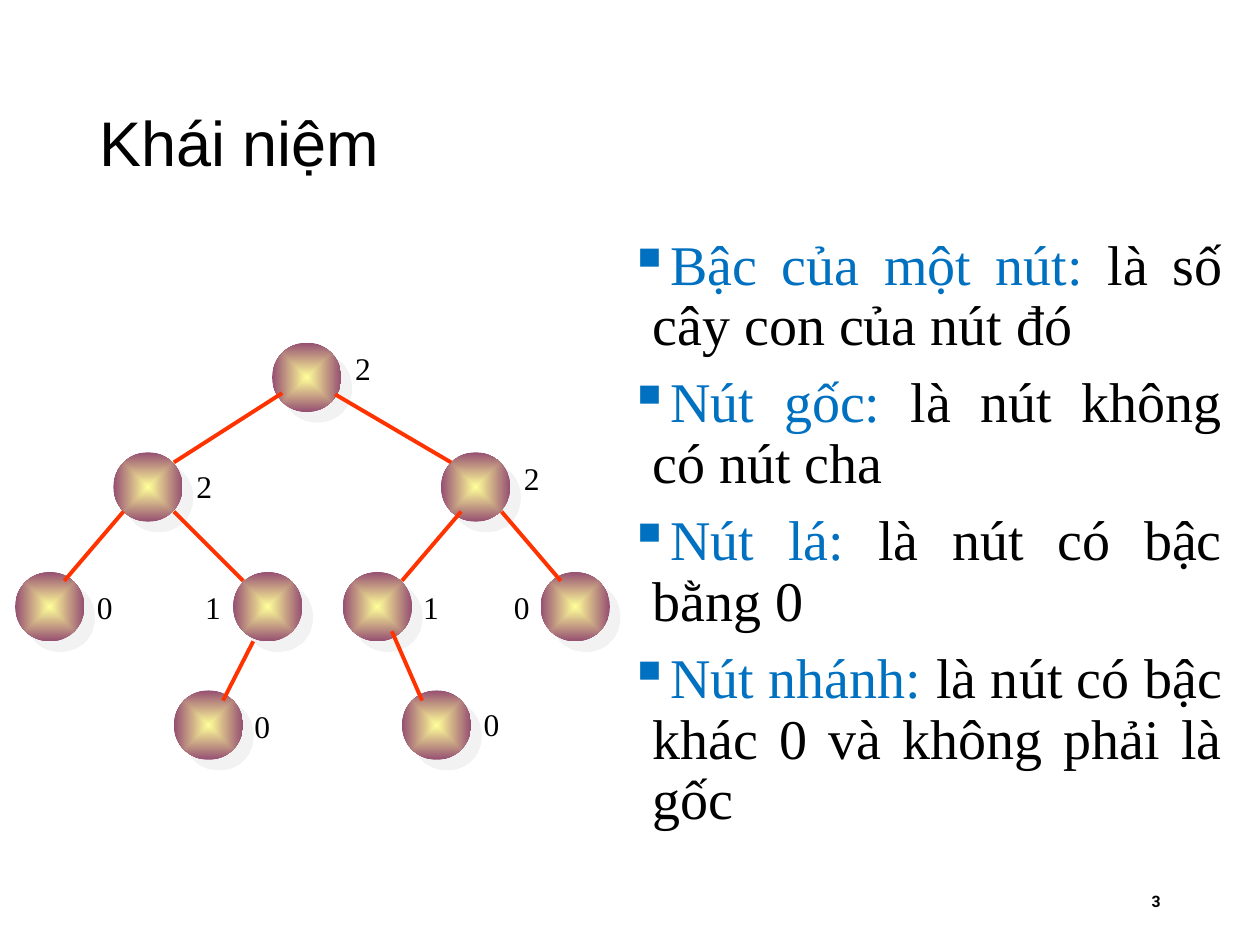
from lxml import etree
from pptx import Presentation
from pptx.dml.color import RGBColor
from pptx.enum.shapes import MSO_CONNECTOR, MSO_SHAPE
from pptx.enum.text import MSO_ANCHOR, PP_ALIGN
from pptx.oxml import parse_xml
from pptx.oxml.ns import qn
from pptx.util import Inches, Pt

OVAL = MSO_SHAPE.OVAL
LINE = MSO_CONNECTOR.STRAIGHT
TOP, MIDDLE = MSO_ANCHOR.TOP, MSO_ANCHOR.MIDDLE
LEFT, RIGHT, JUSTIFY = PP_ALIGN.LEFT, PP_ALIGN.RIGHT, PP_ALIGN.JUSTIFY
SERIF = "Times New Roman"
COLORS = {"text": "000000", "term": "0070C0", "core": "FFFF99",
          "rim": "954F72", "edge": "FF3300", "shade": "E7E6E6"}
XMLNS = 'xmlns:a="http://schemas.openxmlformats.org/drawingml/2006/main"'
PATH = (f'<a:path {XMLNS} path="shape"><a:fillToRect l="50000" t="50000" '
        'r="50000" b="50000"/></a:path>')
SHADOW = (f'<a:outerShdw {XMLNS} dist="{Pt(8.5)}" dir="2700000" algn="ctr" '
          f'rotWithShape="0"><a:srgbClr val="{COLORS["shade"]}">'
          '<a:alpha val="50000"/></a:srgbClr></a:outerShdw>')


def rgb(name):
    return RGBColor.from_string(COLORS[name])


def add_text(box, text, size, face, align=LEFT, anchor=TOP, wrap=True, bold=False):
    frame = slide.shapes.add_textbox(*map(Inches, box)).text_frame
    frame.word_wrap = wrap
    frame.vertical_anchor = anchor
    para = frame.paragraphs[0]
    para.text = text
    para.alignment = align
    para.font.size = Pt(size)
    para.font.name = face
    para.font.bold = bold
    para.font.color.rgb = rgb("text")
    return frame


deck = Presentation()
deck.slide_width, deck.slide_height = Inches(10), Inches(7.5)
slide = deck.slides.add_slide(deck.slide_layouts[6])

add_text((0.69, 0.4, 8.62, 1.45), "Khái niệm", 36, "Arial", anchor=MIDDLE)
add_text((6.62, 6.95, 2.69, 0.4), "3", 9, "Roboto", RIGHT, MIDDLE, bold=True)

terms = [
    ("Bậc của một nút: ", "là số cây con của nút đó"),
    ("Nút gốc: ", "là nút không có nút cha"),
    ("Nút lá: ", "là nút có bậc bằng 0"),
    ("Nút nhánh: ", "là nút có bậc khác 0 và không phải là gốc"),
]
body = add_text((4.89, 1.83, 4.91, 5.3), "", 32, SERIF)
for i, (term, sense) in enumerate(terms):
    para = body.add_paragraph() if i else body.paragraphs[0]
    para.alignment = JUSTIFY
    para.line_spacing = 0.9
    para.space_before = Pt(9.6)
    para.font.size = Pt(32)
    para.font.name = SERIF
    for text, color in ((term, "term"), (sense, "text")):
        run = para.add_run()
        run.text = text
        run.font.color.rgb = rgb(color)
    props = para._p.get_or_add_pPr()
    props.set("marL", str(Inches(0.19)))
    props.set("indent", str(-Inches(0.19)))
    bullet = etree.Element(qn("a:buChar"), char="▪")
    props.find(qn("a:defRPr")).addprevious(bullet)

nodes = [(2.16, 2.72), (0.9, 3.59), (3.5, 3.59), (0.12, 4.54), (1.85, 4.54),
         (2.72, 4.54), (4.29, 4.54), (3.19, 5.48), (1.38, 5.48)]
for x, y in nodes:
    node = slide.shapes.add_shape(OVAL, Inches(x), Inches(y), Inches(0.55), Inches(0.55))
    node.line.fill.background()
    node.fill.gradient()
    for stop, color in zip(node.fill.gradient_stops, ("core", "rim")):
        stop.color.rgb = rgb(color)
    grad = node._element.spPr.find(qn("a:gradFill"))
    grad.replace(grad.find(qn("a:lin")), parse_xml(PATH))
    node.shadow.inherit = False
    node._element.spPr.find(qn("a:effectLst")).append(parse_xml(SHADOW))

edges = [(2.24, 3.12, 1.38, 3.67), (2.66, 3.13, 3.58, 3.67),
         (0.98, 4.06, 0.51, 4.61), (1.38, 4.06, 1.93, 4.61),
         (2.01, 5.09, 1.77, 5.56), (3.66, 4.06, 3.19, 4.61),
         (3.98, 4.06, 4.45, 4.61), (3.11, 5.01, 3.35, 5.56)]
for ends in edges:
    edge = slide.shapes.add_connector(LINE, *map(Inches, ends))
    edge.line.color.rgb = rgb("edge")
    edge.line.width = Pt(2.25)
    etree.SubElement(edge._element.spPr, qn("a:effectLst"))

grades = [("2", 2.72, 2.72), ("2", 4.06, 3.59), ("2", 1.46, 3.66),
          ("1", 3.26, 4.62), ("1", 1.53, 4.62), ("0", 0.67, 4.62),
          ("0", 1.92, 5.56), ("0", 3.98, 4.62), ("0", 3.74, 5.55)]
for grade, x, y in grades:
    add_text((x, y, 0.33, 0.4), grade, 18, SERIF, wrap=False)

deck.save("out.pptx")
